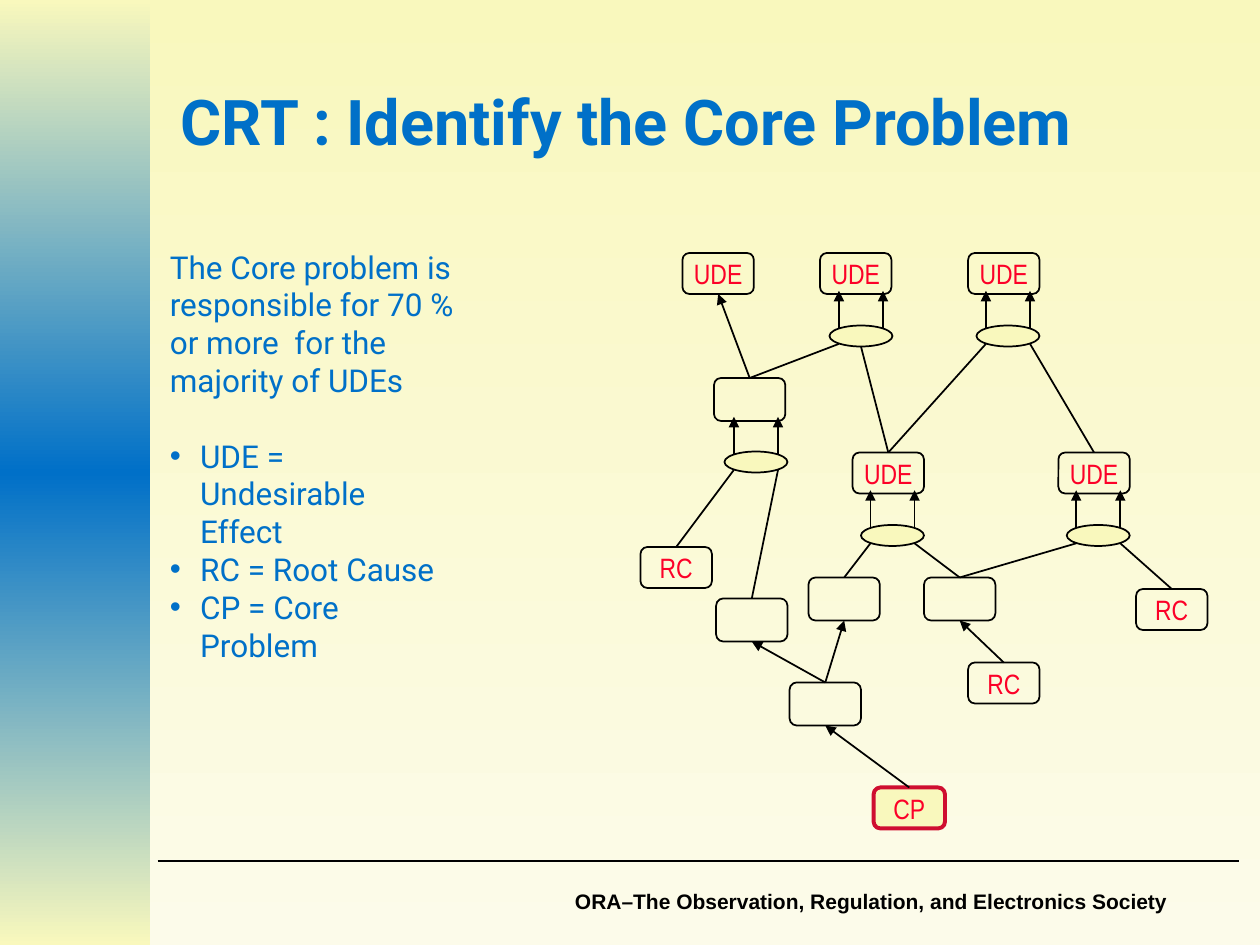
from copy import deepcopy

from lxml import etree
from pptx import Presentation
from pptx.dml.color import RGBColor
from pptx.enum.shapes import MSO_CONNECTOR, MSO_SHAPE
from pptx.enum.text import MSO_ANCHOR, PP_ALIGN
from pptx.oxml.ns import qn
from pptx.util import Inches, Pt

RECT, ROUND, OVAL = MSO_SHAPE.RECTANGLE, MSO_SHAPE.ROUNDED_RECTANGLE, MSO_SHAPE.OVAL
STRAIGHT = MSO_CONNECTOR.STRAIGHT
TOP, MIDDLE = MSO_ANCHOR.TOP, MSO_ANCHOR.MIDDLE
LEFT, CENTER, RIGHT = PP_ALIGN.LEFT, PP_ALIGN.CENTER, PP_ALIGN.RIGHT
CREAM = RGBColor(0xF9, 0xF8, 0xBD)
PALE = RGBColor(0xFC, 0xFB, 0xEA)
BLUE = RGBColor(0x00, 0x70, 0xC8)
RED = RGBColor(0xFC, 0x01, 0x28)
CRIMSON = RGBColor(0xCF, 0x0E, 0x30)
BLACK = RGBColor(0, 0, 0)
COLS, ROWS = 120, 90
UNIT = Inches(10) / COLS


def grid(*nums):
    return [round(n * UNIT) for n in nums]


class Board:
    """Draws slide elements on a grid of 120 columns by 90 rows."""

    def __init__(self, deck):
        self.slide = deck.slides.add_slide(deck.slide_layouts[6])
        self.shapes = self.slide.shapes
        self.blend(self.slide.background.fill, self.slide.element, CREAM, PALE)

    def blend(self, fill, root, *colors):
        fill.gradient()
        fill.gradient_angle = 270
        stops = root.find(".//" + qn("a:gsLst"))
        for _ in colors[2:]:
            stops.insert(1, deepcopy(stops[0]))
        for i, stop in enumerate(stops):
            stop.set("pos", str(100000 * i // (len(colors) - 1)))
        for stop, color in zip(fill.gradient_stops, colors):
            stop.color.rgb = color

    def put(self, para, text, size, font, color, align=LEFT, bold=False):
        para.text, para.alignment = text, align
        face = para.font
        face.size, face.name, face.bold = Pt(size), font, bold
        face.color.rgb = color

    def shape(self, kind, x, y, w, h, fill=None, line=BLACK, width=1):
        item = self.shapes.add_shape(kind, *grid(x, y, w, h))
        item.shadow.inherit = False
        if fill is None:
            item.fill.background()
        else:
            item.fill.solid()
            item.fill.fore_color.rgb = fill
        item.line.color.rgb, item.line.width = line, Pt(width)
        return item

    def band(self, x, y, w, h, *colors):
        item = self.shape(RECT, x, y, w, h)
        item.line.fill.background()
        self.blend(item.fill, item.element, *colors)

    def text(self, x, y, w, h, anchor=TOP):
        frame = self.shapes.add_textbox(*grid(x, y, w, h)).text_frame
        frame.word_wrap, frame.vertical_anchor = True, anchor
        return frame

    def line(self, x1, y1, x2, y2, arrow=False):
        item = self.shapes.add_connector(STRAIGHT, *grid(x1, y1, x2, y2))
        item.line.color.rgb, item.line.width = BLACK, Pt(1)
        props = item.element.spPr
        if arrow:
            etree.SubElement(props.find(qn("a:ln")), qn("a:tailEnd"), type="triangle")
        etree.SubElement(props, qn("a:effectLst"))

    def node(self, x, y, label="", **style):
        high = 3.9 if label else 4.1
        box = self.shape(ROUND, x - 3.4, y, 6.8, high, **style)
        if label:
            frame = box.text_frame
            frame.margin_left = frame.margin_right = Inches(0.02)
            frame.margin_top = frame.margin_bottom = Inches(0.01)
            frame.vertical_anchor = MIDDLE
            self.put(frame.paragraphs[0], label, 16, "Arial Narrow", RED, CENTER)
        return x, y, y + high

    def gate(self, x, y):
        self.shape(OVAL, x - 3, y, 6, 2, fill=CREAM)
        for side in (x - 2.1, x + 2.1):
            self.line(side, y + 0.3, side, y - 3.3, True)
        return x, y

    def rise(self, low, high):
        self.line(low[0], low[1], high[0], high[2], True)

    def feed(self, low, gate, side):
        self.line(low[0], low[1], gate[0] + 2.1 * side, gate[1] + (1.75 if side else 2))

    def bullet(self, para):
        props = para._p.get_or_add_pPr()
        props.set("marL", str(Inches(0.24)))
        props.set("indent", str(-Inches(0.24)))
        for tag, attrs in (("a:buFont", {"typeface": "Arial"}), ("a:buChar", {"char": "•"})):
            item = etree.Element(qn(tag), attrs)
            props.find(qn("a:defRPr")).addprevious(item)


deck = Presentation()
deck.slide_width, deck.slide_height = grid(COLS, ROWS)
board = Board(deck)

board.band(0, 0, 14.3, 90, CREAM, BLUE, CREAM)
foot = board.text(44, 84, 68.4, 3.6)
board.put(foot.paragraphs[0], "ORA–The Observation, Regulation, and Electronics Society",
          12, "Arial", BLACK, RIGHT, True)
board.line(15, 82, 118, 82)
title = board.text(16, 4, 101.3, 15, MIDDLE)
board.put(title.paragraphs[0], "CRT : Identify the Core Problem", 36, "Roboto", BLUE, bold=True)

body = board.text(15, 23, 29.5, 40.8)
board.put(body.paragraphs[0],
          "The Core problem is responsible for 70 % or more  for the majority of UDEs",
          18, "Roboto", BLUE)
for i, term in enumerate(("UDE = Undesirable Effect", "RC = Root Cause", "CP = Core Problem")):
    para = body.add_paragraph()
    board.put(para, term, 18, "Roboto", BLUE)
    para.space_before = Pt(0 if i else 21.6)
    board.bullet(para)

left, mid, right = [board.node(x, 24.1, "UDE") for x in (68.4, 81.5, 95.6)]
inner, outer = [board.node(x, 43.1, "UDE") for x in (84.6, 104.2)]
step = board.node(71.4, 36)
west = board.node(71.6, 57)
north, east = [board.node(x, 55) for x in (80.4, 91.4)]
base = board.node(78.6, 65)
cause, deep, far = [board.node(x, y, "RC") for x, y in ((64.4, 52.1), (95.6, 63.1), (111.6, 56.1))]
core = board.node(86.6, 75, "CP", fill=CREAM, line=CRIMSON, width=2.25)

for low, high in ((step, left), (base, west), (base, north), (deep, east), (core, base)):
    board.rise(low, high)

gates = (
    (82, 31, ((step, -1), (inner, 0))),
    (96, 31, ((inner, -1), (outer, 1))),
    (72, 43, ((cause, -1), (west, 1))),
    (85, 50, ((north, -1), (east, 1))),
    (104.6, 50, ((east, -1), (far, 1))),
)
for x, y, feeds in gates:
    gate = board.gate(x, y)
    for low, side in feeds:
        board.feed(low, gate, side)

deck.save("out.pptx")
